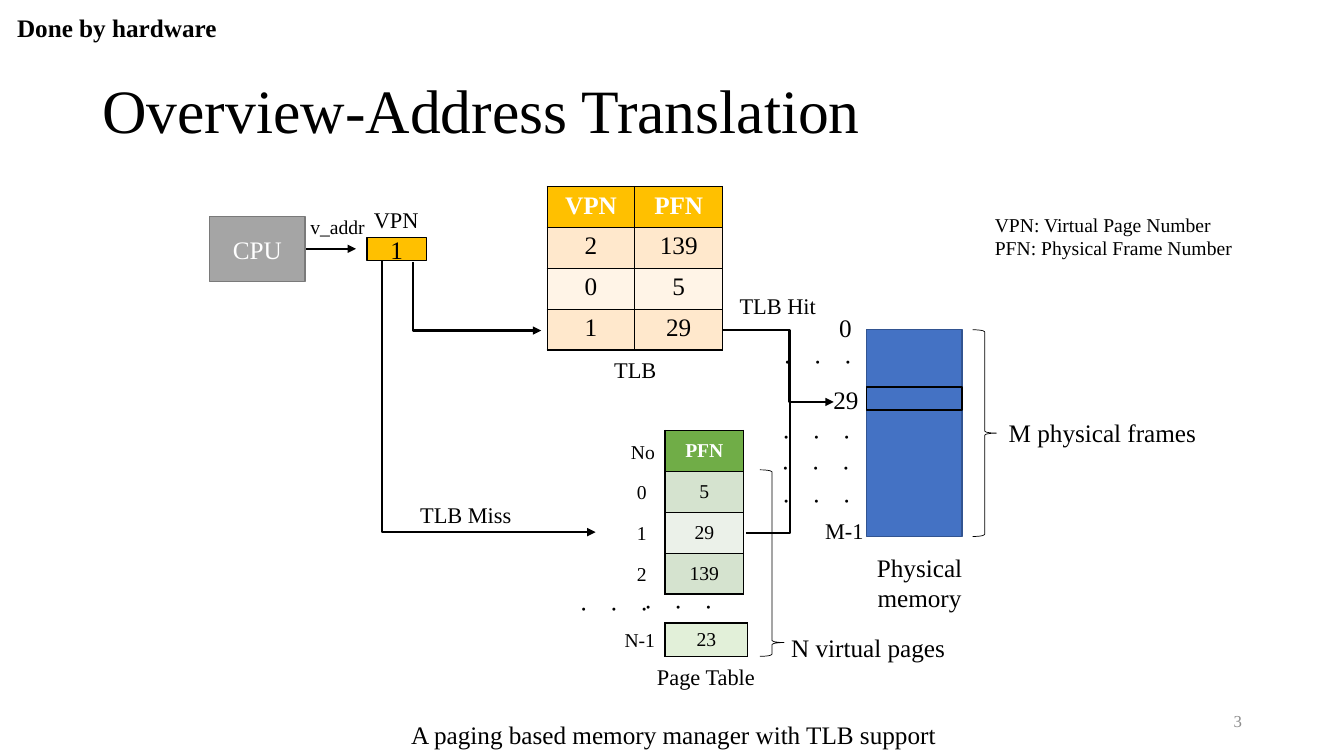
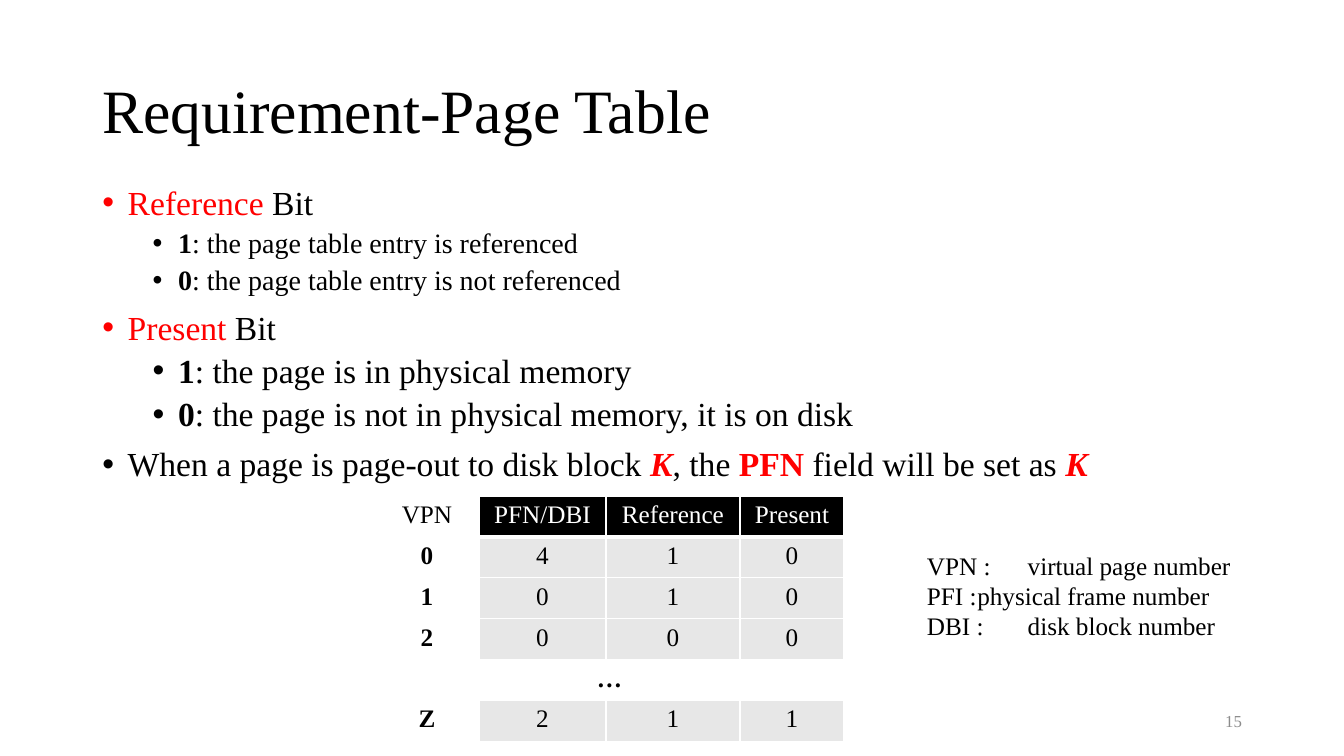
from lxml import etree
from pptx import Presentation
from pptx.dml.color import RGBColor
from pptx.enum.shapes import MSO_CONNECTOR, MSO_SHAPE
from pptx.enum.text import MSO_ANCHOR, MSO_AUTO_SIZE, PP_ALIGN
from pptx.oxml.ns import qn
from pptx.util import Cm, Pt

BLACK = RGBColor(0, 0, 0)
WHITE = RGBColor(255, 255, 255)
RED = RGBColor(255, 0, 0)
NUMBER_GRAY = RGBColor(0x8C, 0x8C, 0x8C)
CPU_FILL = RGBColor(0xA5, 0xA5, 0xA5)
CPU_LINE = RGBColor(0x7A, 0x7A, 0x7A)
BLUE = RGBColor(0x44, 0x72, 0xC4)
BLUE_LINE = RGBColor(0x32, 0x54, 0x91)
GOLD = RGBColor(0xFF, 0xC0, 0)
PEACH = RGBColor(0xFF, 0xE8, 0xCC)
PALE_PEACH = RGBColor(0xFF, 0xF4, 0xE7)
GREEN = RGBColor(0x70, 0xAD, 0x47)
SAGE = RGBColor(0xD5, 0xE3, 0xCF)
PALE_SAGE = RGBColor(0xEB, 0xF1, 0xE9)
LAST_GREEN = RGBColor(0xE2, 0xF0, 0xD9)
CELL_GRAY = RGBColor(0xE7, 0xE7, 0xE7)

LEFT, CENTER, RIGHT = PP_ALIGN.LEFT, PP_ALIGN.CENTER, PP_ALIGN.RIGHT
TOP, MIDDLE = MSO_ANCHOR.TOP, MSO_ANCHOR.MIDDLE
GROW = MSO_AUTO_SIZE.SHAPE_TO_FIT_TEXT
RECTANGLE, BRACE = MSO_SHAPE.RECTANGLE, MSO_SHAPE.RIGHT_BRACE
STRAIGHT, ELBOW = MSO_CONNECTOR.STRAIGHT, MSO_CONNECTOR.ELBOW

FONT = "Times New Roman"
ROW_HEIGHT = 1.03


class Deck:
    def __init__(self):
        self.deck = Presentation()
        self.deck.slide_width, self.deck.slide_height = Cm(33.87), Cm(19.05)
        self.page = None

    def add_page(self, title, number):
        self.page = self.deck.slides.add_slide(self.deck.slide_layouts[6])
        heading = self.text(title, 2.33, 1.02, 29.21, 3.68, size=44, anchor=MIDDLE, grow=False)
        heading.text_frame.paragraphs[0].line_spacing = 0.9
        self.text(str(number), 23.93, 17.65, 7.62, 1.02, size=12, color=NUMBER_GRAY,
                  align=RIGHT, anchor=MIDDLE, grow=False)

    def style(self, paragraph, size, color=BLACK, align=LEFT, bold=False):
        paragraph.alignment = align
        font = paragraph.font
        font.name, font.size, font.bold = FONT, Pt(size), bold
        font.color.rgb = color

    def fill_text(self, frame, text, size, color=BLACK, align=LEFT, bold=False):
        frame.text = text
        for paragraph in frame.paragraphs:
            self.style(paragraph, size, color, align, bold)

    def text(self, text, left, top, width, height, size=18, color=BLACK, align=LEFT,
             bold=False, anchor=TOP, grow=True, wrap=True):
        box = self.page.shapes.add_textbox(Cm(left), Cm(top), Cm(width), Cm(height))
        frame = box.text_frame
        frame.word_wrap = wrap
        frame.vertical_anchor = anchor
        if grow:
            frame.auto_size = GROW
        self.fill_text(frame, text, size, color, align, bold)
        return box

    def dots(self, left, top):
        box = self.text("...", left, top, 1.27, 0.81)
        box.text_frame._txBody.bodyPr.set("vert", "eaVert")

    def bullets(self, items, left, top, width, height):
        box = self.text("", left, top, width, height, grow=False)
        frame = box.text_frame
        for index, (level, size, spans) in enumerate(items):
            paragraph = frame.add_paragraph() if index else frame.paragraphs[0]
            self.style(paragraph, size)
            paragraph.level = level
            paragraph.line_spacing = 0.9
            paragraph.space_before = Pt(5 if level else 10)
            for text, look in spans:
                span = paragraph.add_run()
                span.text = text
                if "bold" in look:
                    span.font.bold = True
                if "italic" in look:
                    span.font.italic = True
                if "red" in look:
                    span.font.color.rgb = RED
            properties = paragraph._p.get_or_add_pPr()
            properties.set("marL", str(Cm(0.64 + 1.27 * level)))
            properties.set("indent", str(-Cm(0.64)))
            defaults = properties.find(qn("a:defRPr"))
            for tag, name, value in (("a:buFont", "typeface", "Arial"), ("a:buChar", "char", "•")):
                bullet = etree.Element(qn(tag))
                bullet.set(name, value)
                defaults.addprevious(bullet)

    def shape(self, kind, left, top, width, height, fill=None, line=BLACK, weight=1,
              text="", color=BLACK):
        shape = self.page.shapes.add_shape(kind, Cm(left), Cm(top), Cm(width), Cm(height))
        shape.shadow.inherit = False
        if fill is None:
            shape.fill.background()
        else:
            shape.fill.solid()
            shape.fill.fore_color.rgb = fill
        shape.line.color.rgb = line
        shape.line.width = Pt(weight)
        if text:
            shape.text_frame.vertical_anchor = MIDDLE
            self.fill_text(shape.text_frame, text, 18, color, CENTER)
        return shape

    def brace(self, left, top, height, point=0.5):
        brace = self.shape(BRACE, left, top, 0.61, height, weight=0.5)
        brace.adjustments[1] = point

    def arrow(self, start, end, bend=None, head=True):
        kind = STRAIGHT if bend is None else ELBOW
        line = self.page.shapes.add_connector(kind, *map(Cm, start + end))
        line.line.color.rgb = BLACK
        line.line.width = Pt(1.5)
        properties = line._element.spPr
        if bend is not None:
            guides = properties.find(qn("a:prstGeom")).get_or_add_avLst()
            guide = etree.SubElement(guides, qn("a:gd"))
            guide.set("name", "adj1")
            guide.set("fmla", f"val {round(bend * 100000)}")
        if head:
            etree.SubElement(properties.find(qn("a:ln")), qn("a:tailEnd")).set("type", "triangle")
        etree.SubElement(properties, qn("a:effectLst"))

    def border(self, cell, color, bottom):
        properties = cell._tc.get_or_add_tcPr()
        for side in "LRTB":
            line = etree.SubElement(properties, qn(f"a:ln{side}"))
            line.set("w", str(Pt(bottom if side == "B" else 1)))
            fill = etree.SubElement(line, qn("a:solidFill"))
            etree.SubElement(fill, qn("a:srgbClr")).set("val", str(color))

    def table(self, rows, left, top, widths, look, size=18, anchor=TOP, edge=BLACK,
              row_height=ROW_HEIGHT, header_bottom=1):
        frame = self.page.shapes.add_table(len(rows), len(widths), Cm(left), Cm(top),
                                           Cm(sum(widths)), Cm(row_height * len(rows)))
        table = frame.table
        table.first_row = table.horz_banding = False
        for column, width in zip(table.columns, widths):
            column.width = Cm(width)
        for row, values in enumerate(rows):
            for column, value in enumerate(values):
                cell = table.cell(row, column)
                fill, color, bold = look(row, column)
                self.border(cell, edge, 1 if row else header_bottom)
                if fill is None:
                    cell.fill.background()
                else:
                    cell.fill.solid()
                    cell.fill.fore_color.rgb = fill
                cell.vertical_anchor = anchor
                self.fill_text(cell.text_frame, value, size, color, CENTER, bold)
        return table


def banded(header, odd, even):
    def look(row, column):
        if row == 0:
            return header, WHITE, True
        return (odd if row % 2 else even), BLACK, False
    return look


def entry_look(row, column):
    if column == 0 or row == 4:
        return None, BLACK, row > 0
    return (CELL_GRAY, BLACK, False) if row else (BLACK, WHITE, False)


def build_translation(deck):
    deck.add_page("Overview-Address Translation", 3)
    deck.text("Done by hardware", 0.18, 0.18, 7.82, 1.02, bold=True)

    deck.shape(RECTANGLE, 21.84, 8.31, 2.41, 5.21, BLUE, BLUE_LINE)
    deck.shape(RECTANGLE, 21.84, 9.75, 2.41, 0.58, BLUE)
    deck.brace(24.51, 8.31, 5.21)
    deck.text("Physical memory", 21.84, 13.79, 2.67, 1.8, align=CENTER)
    deck.text("M physical frames", 25.17, 10.39, 5.51, 1.02)
    deck.text("0", 20.9, 7.75, 0.81, 1.02)
    deck.text("29", 20.75, 9.55, 1.24, 1.02)
    deck.text("M-1", 20.52, 12.9, 1.52, 0.94, size=16, align=CENTER)
    for left, top in ((20.83, 8.81), (20.8, 10.69), (20.78, 11.48), (20.8, 12.32),
                      (17.32, 14.99), (15.7, 15.04)):
        deck.dots(left, top)

    deck.table([["PFN"], ["5"], ["29"], ["139"]], 16.76, 10.85, [1.98],
               banded(GREEN, SAGE, PALE_SAGE), size=14, anchor=MIDDLE)
    deck.table([["23"]], 16.76, 15.7, [2.08], lambda row, column: (LAST_GREEN, BLACK, False),
               size=14, anchor=MIDDLE, row_height=0.84)
    deck.text("No", 15.65, 10.95, 1.12, 0.86, size=14, wrap=False)
    for index in range(3):
        deck.text(str(index), 15.8, 11.96 + 1.04 * index, 0.76, 0.86, size=14, wrap=False)
    deck.text("N-1", 15.49, 15.7, 1.52, 0.86, size=14)
    deck.brace(19.15, 11.84, 4.7, 0.926)
    deck.text("N virtual pages", 19.69, 15.8, 5.51, 1.02)
    deck.text("Page Table", 16, 16.59, 3.58, 0.94, size=16, align=CENTER)

    deck.shape(RECTANGLE, 5.28, 5.46, 2.41, 1.63, CPU_FILL, CPU_LINE, text="CPU", color=WHITE)
    deck.shape(RECTANGLE, 9.25, 5.99, 1.5, 0.58, GOLD, text="1")
    deck.text("VPN", 9.17, 5.08, 1.85, 0.94, size=16)
    deck.text("v_addr", 7.57, 5.28, 1.9, 0.86, size=14, wrap=False)
    deck.table([["VPN", "PFN"], ["2", "139"], ["0", "5"], ["1", "29"]], 13.79, 4.7,
               [2.21, 2.21], banded(GOLD, PEACH, PALE_PEACH))
    deck.text("TLB", 14.22, 8.86, 3.58, 0.94, size=16, align=CENTER)
    deck.text("TLB Miss", 10.34, 12.5, 3.1, 0.94, size=16)
    deck.text("TLB Hit", 18.39, 7.24, 3.1, 0.94, size=16)

    deck.arrow((7.72, 6.27), (8.97, 6.27))
    deck.arrow((9.63, 6.58), (15.01, 13.41), bend=0)
    deck.arrow((10.41, 6.6), (13.64, 8.33), bend=0)
    deck.arrow((18.8, 13.44), (21.01, 10.13), bend=0.5)
    deck.arrow((18.21, 8.31), (20.52, 10.13), bend=0.73, head=False)

    deck.text("VPN: Virtual Page Number\nPFN: Physical Frame Number",
              24.82, 5.23, 6.53, 1.45, size=14, wrap=False)
    deck.text("A paging based memory manager with TLB support",
              10.11, 18.01, 13.87, 1.02, wrap=False)


def build_page_table(deck):
    deck.add_page("Requirement-Page Table", 15)
    deck.bullets([
        (0, 24, [("Reference", "red"), (" Bit", "")]),
        (1, 20, [("1", "bold"), (": the page table entry is referenced", "")]),
        (1, 20, [("0", "bold"), (": the page table entry is not referenced", "")]),
        (0, 24, [("Present", "red"), (" Bit", "")]),
        (1, 24, [("1", "bold"), (": the page is in physical memory", "")]),
        (1, 24, [("0", "bold"), (": the page is not in physical memory, it is on disk", "")]),
        (0, 24, [("When a page is page-out to disk block ", ""), ("K", "red bold italic"),
                 (", the ", ""), ("PFN", "red bold"), (" field will be set as ", ""),
                 ("K", "red bold italic")]),
    ], 2.33, 4.57, 29.21, 7.82)
    rows = [["VPN", "PFN/DBI", "Reference", "Present"], ["0", "4", "1", "0"],
            ["1", "0", "1", "0"], ["2", "0", "0", "0"], ["…", "", "", ""],
            ["Z", "2", "1", "1"]]
    table = deck.table(rows, 9.45, 12.5, [2.62, 3.2, 3.38, 2.62], entry_look,
                       edge=WHITE, header_bottom=3)
    table.cell(4, 0).merge(table.cell(4, 3))
    deck.text("VPN :\tvirtual page number\nPFI :\tphysical frame number\nDBI :\tdisk block number",
              23.11, 13.74, 9.25, 2.57)


deck = Deck()
build_translation(deck)
build_page_table(deck)
deck.deck.save("out.pptx")
